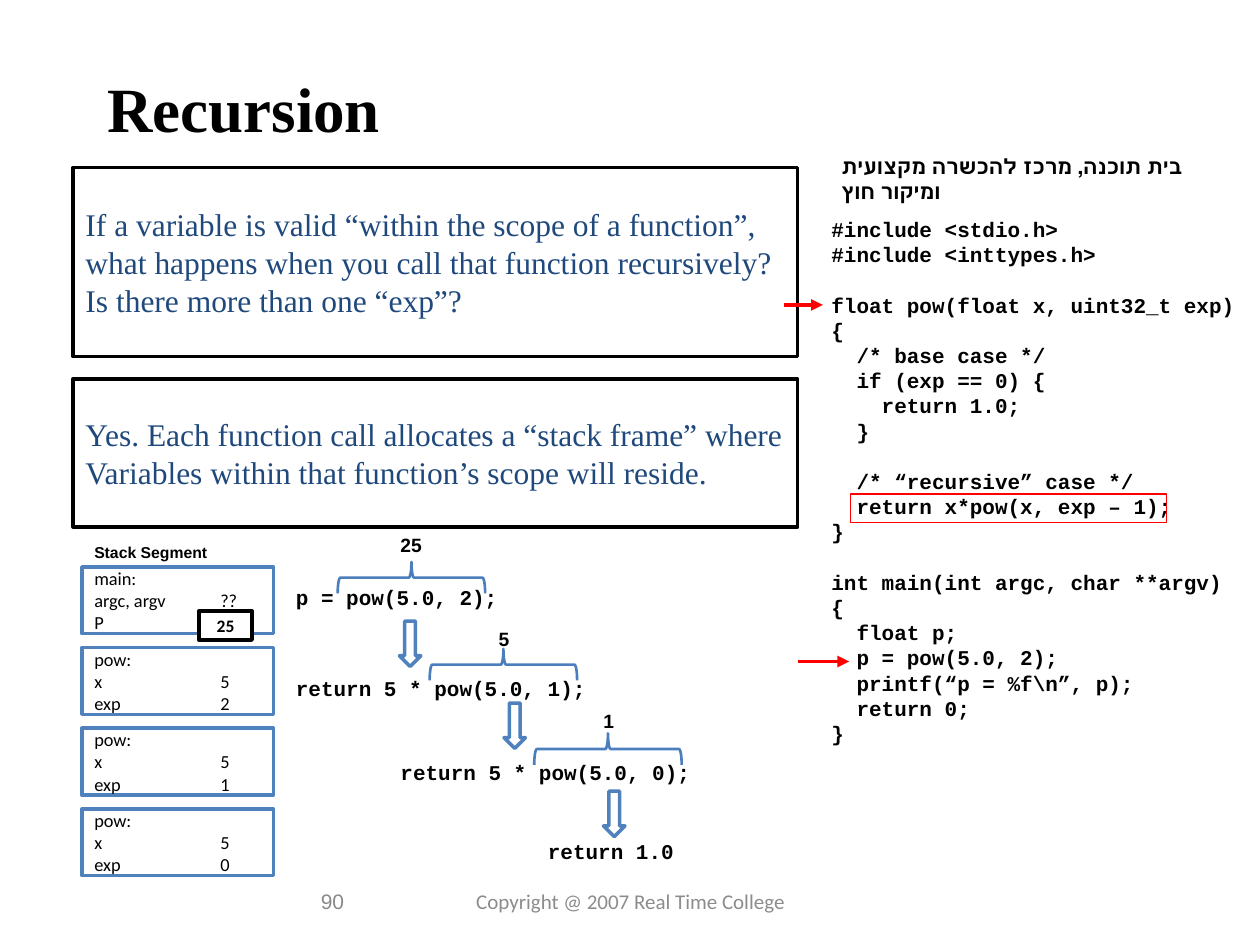
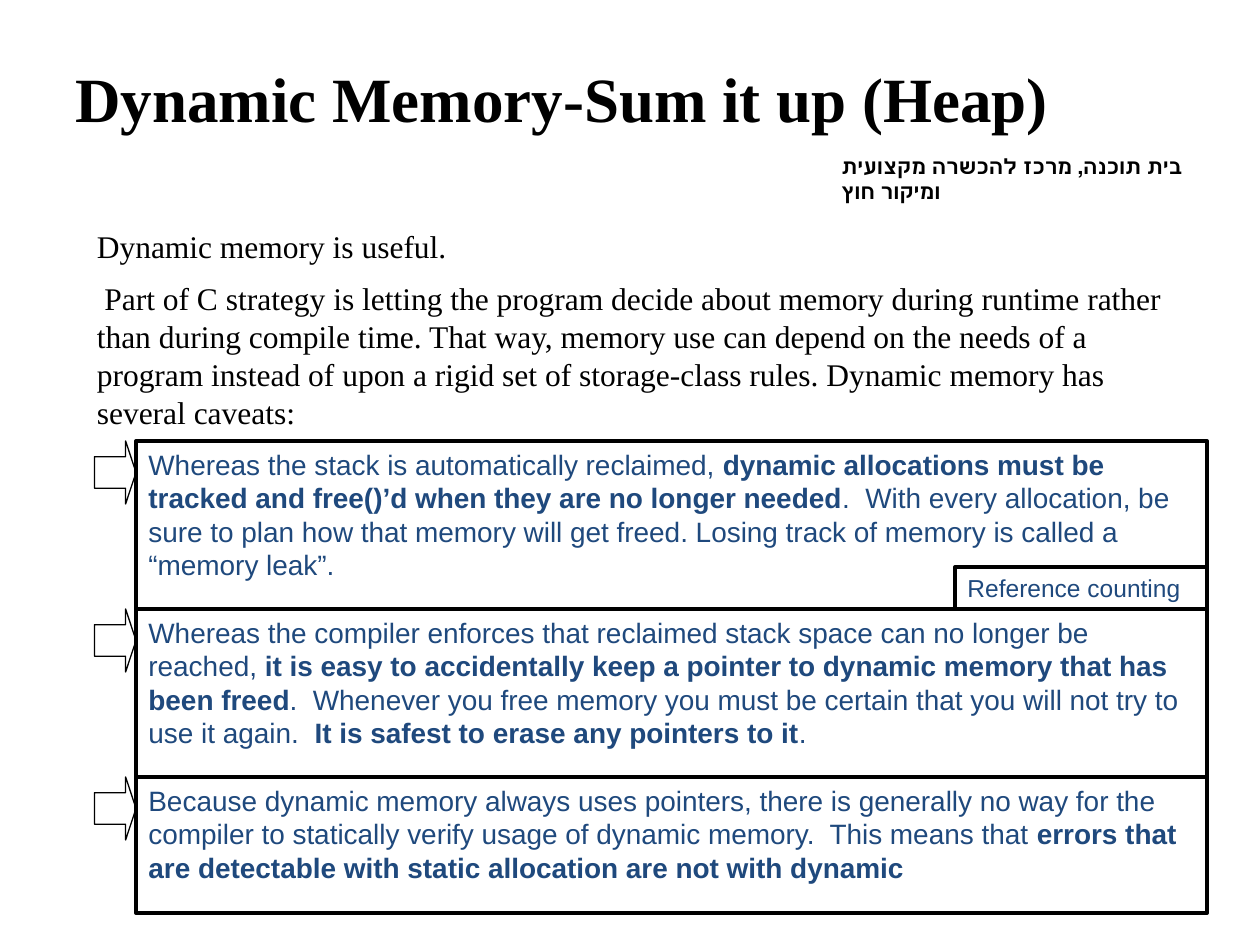
"""Builds two C lecture slides: recursion with its stack frames, and a heap summary."""
from dataclasses import dataclass
from lxml.etree import SubElement
from pptx import Presentation
from pptx.dml.color import RGBColor
from pptx.enum.shapes import MSO_CONNECTOR, MSO_SHAPE
from pptx.enum.text import MSO_ANCHOR, PP_ALIGN
from pptx.oxml.ns import qn
from pptx.util import Inches, Pt


@dataclass(frozen=True)
class Theme:
    black: str = "000000"
    white: str = "FFFFFF"
    red: str = "FF0000"
    blue: str = "4F81BD"
    brace: str = "4B7EBC"
    title: tuple = ("Times New Roman", 36, "000000", True)
    body: tuple = ("Times New Roman", 18, "000000", False)
    quote: tuple = ("Times New Roman", 18, "1F497D", False)
    point: tuple = ("Arial", 16, "1F497D", None)
    tag: tuple = ("Arial", 14, "1F497D", False)
    code: tuple = ("Courier New", 12, "000000", True)
    head: tuple = ("Arial", 12, "000000", True)
    value: tuple = ("Arial", 11, "000000", True)
    label: tuple = ("Arial", 9, "000000", True)
    frame: tuple = ("Calibri", 10.5, "000000", False)
    badge: tuple = ("Calibri", 10, "000000", True)
    page: tuple = ("Arial", 12, "898989", False)
    foot: tuple = ("Calibri", 12, "8C8C8C", False)


theme = Theme()


def draw(slide, kind, spot, line=None, width=1, fill=None):
    shape = slide.shapes.add_shape(kind, *map(Inches, spot))
    shape.shadow.inherit = False
    if fill:
        shape.fill.solid()
        shape.fill.fore_color.rgb = RGBColor.from_string(fill)
    else:
        shape.fill.background()
    shape.line.color.rgb = RGBColor.from_string(line)
    shape.line.width = Pt(width)
    return shape


def write(place, lines, style, spot=None, align=PP_ALIGN.LEFT, anchor=MSO_ANCHOR.TOP, wrap=True):
    if spot:
        place = place.shapes.add_textbox(*map(Inches, spot))
    frame = place.text_frame
    frame.word_wrap = wrap
    frame.vertical_anchor = anchor
    name, size, color, bold = style
    gap = 0
    fresh = True
    for line in lines:
        if not line:
            gap = 1.2 * size
            continue
        para = frame.paragraphs[0] if fresh else frame.add_paragraph()
        fresh = False
        para.alignment = align
        para.line_spacing = Pt(1.2 * size)
        if gap:
            para.space_before = Pt(gap)
            gap = 0
        if "\t" in line:
            tabs = SubElement(para._p.get_or_add_pPr(), qn("a:tabLst"))
            SubElement(tabs, qn("a:tab"), pos=str(Inches(1)), algn="l")
        font = para.font
        font.name, font.size, font.bold = name, Pt(size), bold
        font.color.rgb = RGBColor.from_string(color)
        for text, strong in [(line, bold)] if isinstance(line, str) else line:
            run = para.add_run()
            run.text = text
            if bold is None:
                run.font.bold = strong
    return frame


deck = Presentation()
deck.slide_width, deck.slide_height = Inches(10), Inches(7.5)
slides = [deck.slides.add_slide(deck.slide_layouts[6]) for _ in range(2)]
for slide in slides:
    head = write(slide, ["בית תוכנה, מרכז להכשרה מקצועית ומיקור חוץ"], theme.head, (6.58, 1.17, 3.07, 0.5))
    head.paragraphs[0]._p.get_or_add_pPr().set("rtl", "1")
stack, heap = slides

write(stack, ["Recursion"], theme.title, (0.75, 0.5, 2.37, 0.7), PP_ALIGN.CENTER, wrap=False)
for top, height, text in [
    (1.33, 1.5, "If a variable is valid “within the scope of a function”, what happens when you call "
                "that function recursively? Is there more than one “exp”?"),
    (3.01, 1.17, "Yes. Each function call allocates a “stack frame” where Variables within that "
                 "function’s scope will reside."),
]:
    card = draw(stack, MSO_SHAPE.RECTANGLE, (0.58, top, 5.75, height), theme.black, 2.25, theme.white)
    write(card, [text], theme.quote, anchor=MSO_ANCHOR.MIDDLE)

code = """#include <stdio.h>
#include <inttypes.h>

float pow(float x, uint32_t exp)
{
  /* base case */
  if (exp == 0) {
    return 1.0;
  }

  /* “recursive” case */
  return x*pow(x, exp – 1);
}

int main(int argc, char **argv)
{
  float p;
  p = pow(5.0, 2);
  printf(“p = %f\\n”, p);
  return 0;
}"""
write(stack, code.split("\n"), theme.code, (6.5, 1.67, 3.5, 4.34))
draw(stack, MSO_SHAPE.RECTANGLE, (6.75, 3.92, 2.51, 0.23), theme.red, 0.75)
for left, right, top in [(6.33, 6.74, 5.25), (6.22, 6.53, 2.42)]:
    arrow = stack.shapes.add_connector(MSO_CONNECTOR.STRAIGHT, *map(Inches, (left, top, right, top)))
    arrow.line.color.rgb = RGBColor.from_string(theme.red)
    arrow.line.width = Pt(2.25)
    SubElement(arrow.line._get_or_add_ln(), qn("a:tailEnd"), type="triangle")
    SubElement(arrow._element.spPr, qn("a:effectLst"))

for text, left, top, down, brace, value, mark in [
    ("p = pow(5.0, 2);", 2.25, 4.59, (3.17, 4.93), (3.14, 4), "25", (3.08, 4.18, 0.37)),
    ("return 5 * pow(5.0, 1);", 2.25, 5.31, (4, 5.58), (3.87, 4.69), "5", (3.86, 4.93, 0.29)),
    ("return 5 * pow(5.0, 0);", 3.08, 5.98, (4.79, 6.28), (4.7, 5.36), "1", (4.69, 5.58, 0.29)),
]:
    write(stack, [text], theme.code, (left, top, 3.5, 0.3))
    draw(stack, MSO_SHAPE.DOWN_ARROW, (*down, 0.17, 0.36), theme.blue, 2, theme.white)
    draw(stack, MSO_SHAPE.LEFT_BRACE, (*brace, 0.25, 1.17), theme.brace, 1.5).rotation = 90
    write(stack, [value], theme.value, (*mark, 0.29), wrap=False)
write(stack, ["return 1.0"], theme.code, (4.25, 6.61, 3.5, 0.3))

write(stack, ["Stack Segment"], theme.label, (0.65, 4.26, 1.1, 0.25), wrap=False)
calls = [["main:", "argc, argv\t??", "P"]] + [["pow:", "x\t5", f"exp\t{exp}"] for exp in (2, 1, 0)]
for row, lines in enumerate(calls):
    card = draw(stack, MSO_SHAPE.RECTANGLE, (0.65, 4.5 + 0.64 * row, 1.52, 0.53), theme.blue, 2, theme.white)
    write(card, lines, theme.frame, anchor=MSO_ANCHOR.MIDDLE)
badge = draw(stack, MSO_SHAPE.RECTANGLE, (1.58, 4.85, 0.42, 0.23), theme.black, 2, theme.white)
write(badge, ["25"], theme.badge, align=PP_ALIGN.CENTER, anchor=MSO_ANCHOR.MIDDLE, wrap=False)
write(stack, ["90"], theme.page, (0.5, 6.95, 2.33, 0.4), PP_ALIGN.RIGHT, MSO_ANCHOR.MIDDLE)
write(stack, ["Copyright @ 2007 Real Time College"], theme.foot, (3.42, 6.95, 3.17, 0.4),
      PP_ALIGN.CENTER, MSO_ANCHOR.MIDDLE)

write(heap, ["Dynamic Memory-Sum it up (Heap)"], theme.title, (0.5, 0.42, 9.25, 0.7))
intro = write(heap, [
    "Dynamic memory is useful.",
    "Part of C strategy is letting the program decide about memory during runtime rather than during "
    "compile time. That way, memory use can depend on the needs of a program instead of upon a rigid "
    "set of storage-class rules. Dynamic memory has several caveats:",
], theme.body, (0.67, 1.75, 8.92, 1.75))
intro.paragraphs[1].space_before = Pt(8.5)
intro.paragraphs[1]._p.get_or_add_pPr().set("indent", str(Inches(0.06)))

points = [
    (1.33, [("Whereas the stack is automatically reclaimed, ", False),
            ("dynamic allocations must be tracked and free()’d when they are no longer needed", True),
            (".  With every allocation, be sure to plan how that memory will get freed. Losing track of "
             "memory is called a “memory leak”.", False)]),
    (1.33, [("Whereas the compiler enforces that reclaimed stack space can no longer be reached, ", False),
            ("it is easy to accidentally keep a pointer to dynamic memory that has been freed", True),
            (".  Whenever you free memory you must be certain that you will not try to use it again.  ", False),
            ("It is safest to erase any pointers to it", True), (".", False)]),
    (1.08, [("Because dynamic memory always uses pointers, there is generally no way for the compiler to "
             "statically verify usage of dynamic memory.  This means that ", False),
            ("errors that are detectable with static allocation are not with dynamic", True)]),
]
for row, (height, runs) in enumerate(points):
    top = 3.5 + row * 4 / 3
    card = draw(heap, MSO_SHAPE.RECTANGLE, (1.08, top, 8.5, height), theme.black, 2.25)
    write(card, [runs], theme.point)
    arrow = draw(heap, MSO_SHAPE.RIGHT_ARROW, (0.75, top, 0.33, 0.5), theme.black, 0.75)
    arrow.adjustments[0], arrow.adjustments[1] = 0.5, 0.25
tag = draw(heap, MSO_SHAPE.RECTANGLE, (7.58, 4.5, 2, 0.33), theme.black, 2.25)
write(tag, ["Reference counting"], theme.tag, anchor=MSO_ANCHOR.MIDDLE)

deck.save("out.pptx")
